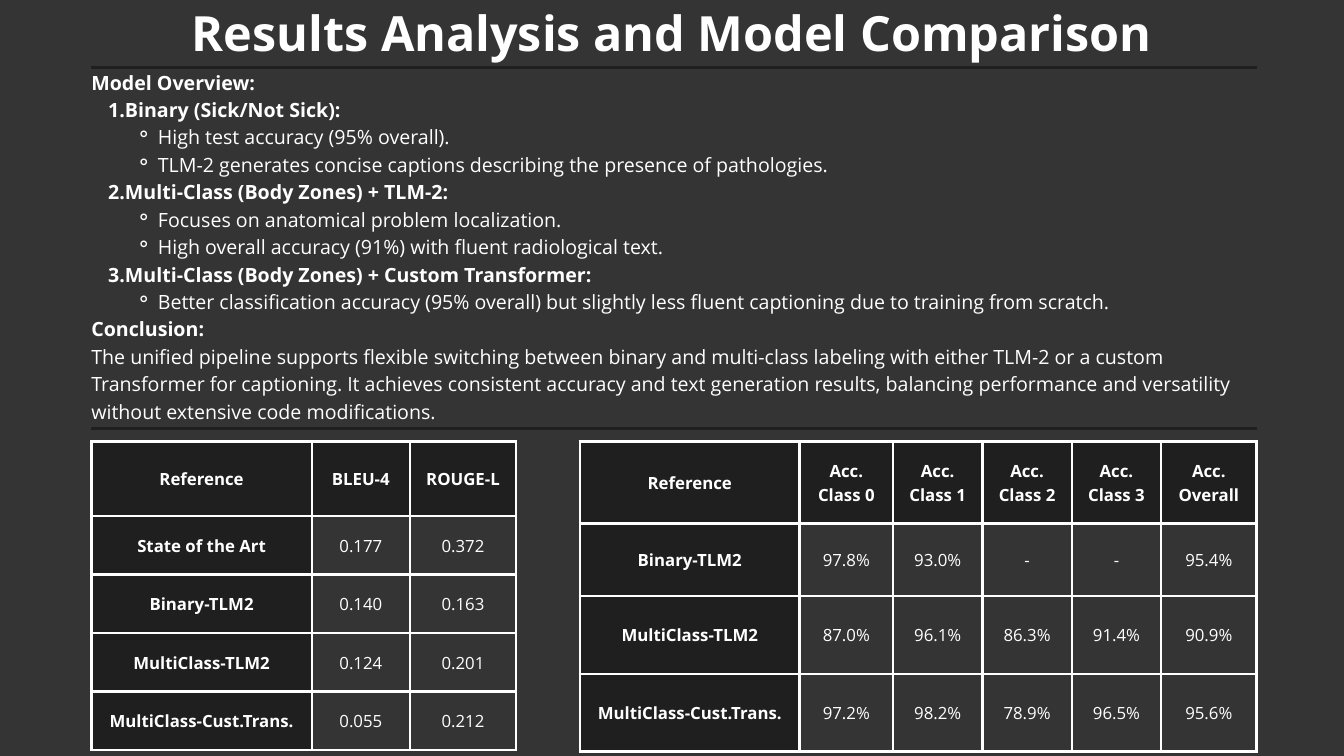
import pptx
import pptx.util
import pptx.dml.color
import pptx.enum.shapes
import pptx.enum.text
import pptx.oxml.ns
from lxml import etree

BACKGROUND = pptx.dml.color.RGBColor(0x34, 0x34, 0x34)
DARK = pptx.dml.color.RGBColor(0x1F, 0x1F, 0x1F)
WHITE = pptx.dml.color.RGBColor(0xFF, 0xFF, 0xFF)
FONT = "Open Sans"
LEADING = 1.4  # line pitch as a multiple of the text size

deck = pptx.Presentation()
deck.slide_width = W = pptx.util.Inches(20)
deck.slide_height = H = pptx.util.Inches(11.25)
slide = deck.slides.add_slide(deck.slide_layouts[5])
slide.background.fill.solid()
slide.background.fill.fore_color.rgb = BACKGROUND

# Content column, as shares of the slide
LEFT = int(W * 0.068)
RIGHT = int(W * 0.935)
TABLE_TOP = int(H * 0.584)


def add_run(paragraph, words, size, bold):
    paragraph.line_spacing = pptx.util.Pt(round(size * LEADING, 1))
    run = paragraph.add_run()
    run.text = words
    run.font.name = FONT
    run.font.size = pptx.util.Pt(size)
    run.font.bold = bold
    run.font.color.rgb = WHITE


def add_child(parent, tag, **attributes):
    return etree.SubElement(parent, pptx.oxml.ns.qn(tag), attributes)


# Result tables: column widths and row heights in inches
scores = [
    ("Reference", "BLEU-4", "ROUGE-L"),
    ("State of the Art", "0.177", "0.372"),
    ("Binary-TLM2", "0.140", "0.163"),
    ("MultiClass-TLM2", "0.124", "0.201"),
    ("MultiClass-Cust.Trans.", "0.055", "0.212"),
]
accuracies = [
    ("Reference", "Acc. Class 0", "Acc. Class 1", "Acc. Class 2", "Acc. Class 3", "Acc. Overall"),
    ("Binary-TLM2", "97.8%", "93.0%", "-", "-", "95.4%"),
    ("MultiClass-TLM2", "87.0%", "96.1%", "86.3%", "91.4%", "90.9%"),
    ("MultiClass-Cust.Trans.", "97.2%", "98.2%", "78.9%", "96.5%", "95.6%"),
]
results = [
    (LEFT, scores, [3.28, 1.46, 1.58], [1.11] + [0.87] * 4),
    (int(W * 0.4315), accuracies, [3.27, 1.39, 1.33, 1.33, 1.33, 1.42], [1.22, 1.08, 1.16, 1.15]),
]
for table_left, entries, widths, heights in results:
    grid = slide.shapes.add_table(
        len(heights), len(widths), table_left, TABLE_TOP,
        pptx.util.Inches(sum(widths)), pptx.util.Inches(sum(heights))).table
    grid.first_row = grid.horz_banding = False
    for column, width in zip(grid.columns, widths):
        column.width = pptx.util.Inches(width)
    for r, (row, height) in enumerate(zip(grid.rows, heights)):
        row.height = pptx.util.Inches(height)
        for c, entry in enumerate(entries[r]):
            cell = grid.cell(r, c)
            heading = r == 0 or c == 0
            cell.margin_left = cell.margin_right = pptx.util.Inches(0.21)
            cell.margin_top = cell.margin_bottom = pptx.util.Inches(0.21)
            cell.vertical_anchor = pptx.enum.text.MSO_ANCHOR.MIDDLE
            paragraph = cell.text_frame.paragraphs[0]
            paragraph.alignment = pptx.enum.text.PP_ALIGN.CENTER
            add_run(paragraph, entry, 18, heading)
            # Borders come before the fill in the cell properties
            for side in ("a:lnL", "a:lnR", "a:lnT", "a:lnB"):
                border = add_child(cell._tc.get_or_add_tcPr(), side, w=str(pptx.util.Pt(3)))
                add_child(add_child(border, "a:solidFill"), "a:srgbClr", val=str(WHITE))
            if heading:
                cell.fill.solid()
                cell.fill.fore_color.rgb = DARK
            else:
                cell.fill.background()

# Title
title = slide.shapes.title
title.left, title.top = int(W * 0.1425), int(H * -0.009)
title.width, title.height = int(W * 0.715), int(H * 0.086)
overview = slide.shapes.add_textbox(LEFT, int(H * 0.088), RIGHT - LEFT, int(H * 0.4675))
for frame in (title.text_frame, overview.text_frame):
    frame.margin_left = frame.margin_right = frame.margin_top = frame.margin_bottom = 0
    frame.word_wrap = True
    frame.auto_size = pptx.enum.text.MSO_AUTO_SIZE.NONE
    frame.vertical_anchor = pptx.enum.text.MSO_ANCHOR.TOP
heading_line = title.text_frame.paragraphs[0]
heading_line.alignment = pptx.enum.text.PP_ALIGN.CENTER
add_run(heading_line, "Results Analysis and Model Comparison", 52, True)

# Model overview: (level, bold, text); level 1 is numbered, level 2 bulleted
overview_lines = [
    (0, True, "Model Overview:"),
    (1, True, "Binary (Sick/Not Sick):"),
    (2, False, "High test accuracy (95% overall)."),
    (2, False, "TLM-2 generates concise captions describing the presence of pathologies."),
    (1, True, "Multi-Class (Body Zones) + TLM-2:"),
    (2, False, "Focuses on anatomical problem localization."),
    (2, False, "High overall accuracy (91%) with fluent radiological text."),
    (1, True, "Multi-Class (Body Zones) + Custom Transformer:"),
    (2, False, "Better classification accuracy (95% overall) but slightly less fluent "
               "captioning due to training from scratch."),
    (0, True, "Conclusion:"),
    (0, False, "The unified pipeline supports flexible switching between binary and multi-class "
               "labeling with either TLM-2 or a custom Transformer for captioning. It achieves "
               "consistent accuracy and text generation results, balancing performance and "
               "versatility without extensive code modifications."),
]
INDENTS = {1: (0.5, -0.25), 2: (0.99, -0.33)}
for n, (level, bold, words) in enumerate(overview_lines):
    frame = overview.text_frame
    paragraph = frame.add_paragraph() if n else frame.paragraphs[0]
    paragraph.level = level
    add_run(paragraph, words, 21, bold)
    if level:
        properties = paragraph._p.get_or_add_pPr()
        margin, hanging = INDENTS[level]
        properties.set("marL", str(pptx.util.Inches(margin)))
        properties.set("indent", str(pptx.util.Inches(hanging)))
        if level == 1:
            add_child(properties, "a:buAutoNum", type="arabicPeriod")
        else:
            add_child(properties, "a:buChar", char="⚬")

# Rules above and below the overview
for share in (0.089, 0.567):
    y = int(H * share)
    rule = slide.shapes.add_connector(pptx.enum.shapes.MSO_CONNECTOR.STRAIGHT, LEFT, y, RIGHT, y)
    rule.line.color.rgb = DARK
    rule.line.width = pptx.util.Pt(3)
    add_child(rule._element.spPr, "a:effectLst")

deck.save("out.pptx")
